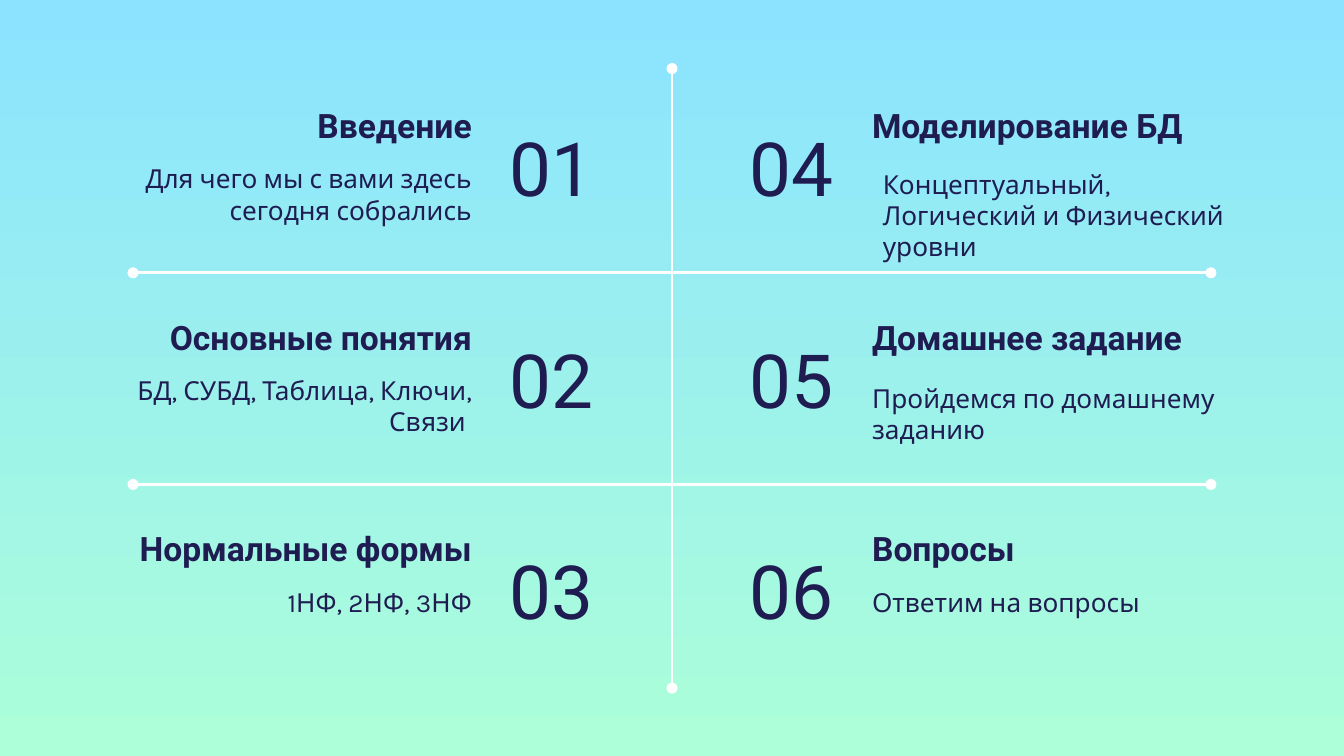
from lxml.etree import SubElement
from pptx import Presentation
from pptx.dml.color import RGBColor
from pptx.enum.shapes import MSO_CONNECTOR
from pptx.enum.text import MSO_ANCHOR, MSO_AUTO_SIZE, PP_ALIGN
from pptx.oxml.ns import qn
from pptx.util import Inches, Pt

# Heading, note, (right, down) shift of the note
TOPICS = [
    ("Введение", "Для чего мы с вами здесь сегодня собрались", (0, 0)),
    ("Основные понятия", "БД, СУБД, Таблица, Ключи, Связи ", (0, 0)),
    ("Нормальные формы", "1НФ, 2НФ, 3НФ", (0, 0)),
    ("Моделирование БД", "Концептуальный, Логический и Физический уровни", (0.08, 0.04)),
    ("Домашнее задание", "Пройдемся по домашнему заданию", (0, 0.06)),
    ("Вопросы", "Ответим на вопросы", (0, 0)),
]
COLORS = {"top": "8BE3FF", "bottom": "ACFFD9", "ink": "1F1C51", "line": "FFFFFF"}
WIDTH = 10
HEIGHT = WIDTH * 9 / 16
ROWS, PITCH = 3, HEIGHT * 0.28
MIDDLE = WIDTH / 2

# Top, height, anchor and font of each part of a topic
PARTS = {
    "head": (0.68, 0.5, MSO_ANCHOR.BOTTOM, {"size": Pt(18), "name": "Roboto", "bold": True}),
    "note": (1.11, 0.69, MSO_ANCHOR.TOP, {"size": Pt(14), "name": "Karla", "bold": False}),
    "number": (0.81, 0.86, MSO_ANCHOR.MIDDLE, {"size": Pt(40), "name": "Roboto", "bold": False}),
}
# Left, width and alignment of each part, by column
COLUMNS = [
    {"text": (0.63, 2.98, PP_ALIGN.RIGHT), "number": (3.69, 1.3, PP_ALIGN.LEFT)},
    {"text": (6.39, 2.98, PP_ALIGN.LEFT), "number": (MIDDLE, 1.3, PP_ALIGN.RIGHT)},
]
RULES = [(MIDDLE, 0.51, MIDDLE, 5.12)] + [
    (0.99, 2.03 + PITCH * gap, 9.01, 2.03 + PITCH * gap) for gap in range(ROWS - 1)
]


def color(name):
    return RGBColor.from_string(COLORS[name])


def assign(target, values):
    for name, value in values.items():
        setattr(target, name, value)


def write(part, text, row, place, shift=(0, 0), box=None):
    """Fill the given placeholder, or a new text box if there is none."""
    top, height, anchor, font = PARTS[part]
    left, width, align = place
    right, down = shift
    box = box or slide.shapes.add_textbox(0, 0, 0, 0)
    assign(box, {
        "left": Inches(left + right),
        "top": Inches(top + PITCH * row + down),
        "width": Inches(width),
        "height": Inches(height),
    })
    frame = box.text_frame
    frame.text = text
    assign(frame, {"word_wrap": True, "auto_size": MSO_AUTO_SIZE.NONE,
                   "vertical_anchor": anchor})
    assign(frame, {f"margin_{side}": Inches(0.1)
                   for side in ("left", "right", "top", "bottom")})
    line = frame.paragraphs[0]
    assign(line, {"alignment": align, "space_before": Pt(0)})
    run = line.runs[0]
    assign(run.font, font)
    run.font.color.rgb = color("ink")


def rule(ends):
    line = slide.shapes.add_connector(MSO_CONNECTOR.STRAIGHT, *map(Inches, ends))
    line.line.width = Pt(1.5)
    line.line.color.rgb = color("line")
    props = line._element.spPr
    for tag in ("a:headEnd", "a:tailEnd"):
        SubElement(props.find(qn("a:ln")), qn(tag), type="oval")
    SubElement(props, qn("a:effectLst"))


deck = Presentation()
deck.slide_width, deck.slide_height = Inches(WIDTH), Inches(HEIGHT)
slide = deck.slides.add_slide(deck.slide_layouts[0])

fill = slide.background.fill
fill.gradient()
fill.gradient_angle = 270
for stop, name in zip(fill.gradient_stops, ("top", "bottom")):
    stop.color.rgb = color(name)

for ends in RULES:
    rule(ends)

holders = list(slide.placeholders)
for index, (head, note, shift) in enumerate(TOPICS):
    side, row = divmod(index, ROWS)
    column = COLUMNS[side]
    title, body = holders if index == 0 else (None, None)
    write("head", head, row, column["text"], box=title)
    write("note", note, row, column["text"], shift, body)
    write("number", f"{index + 1:02}", row, column["number"])

deck.save("out.pptx")
